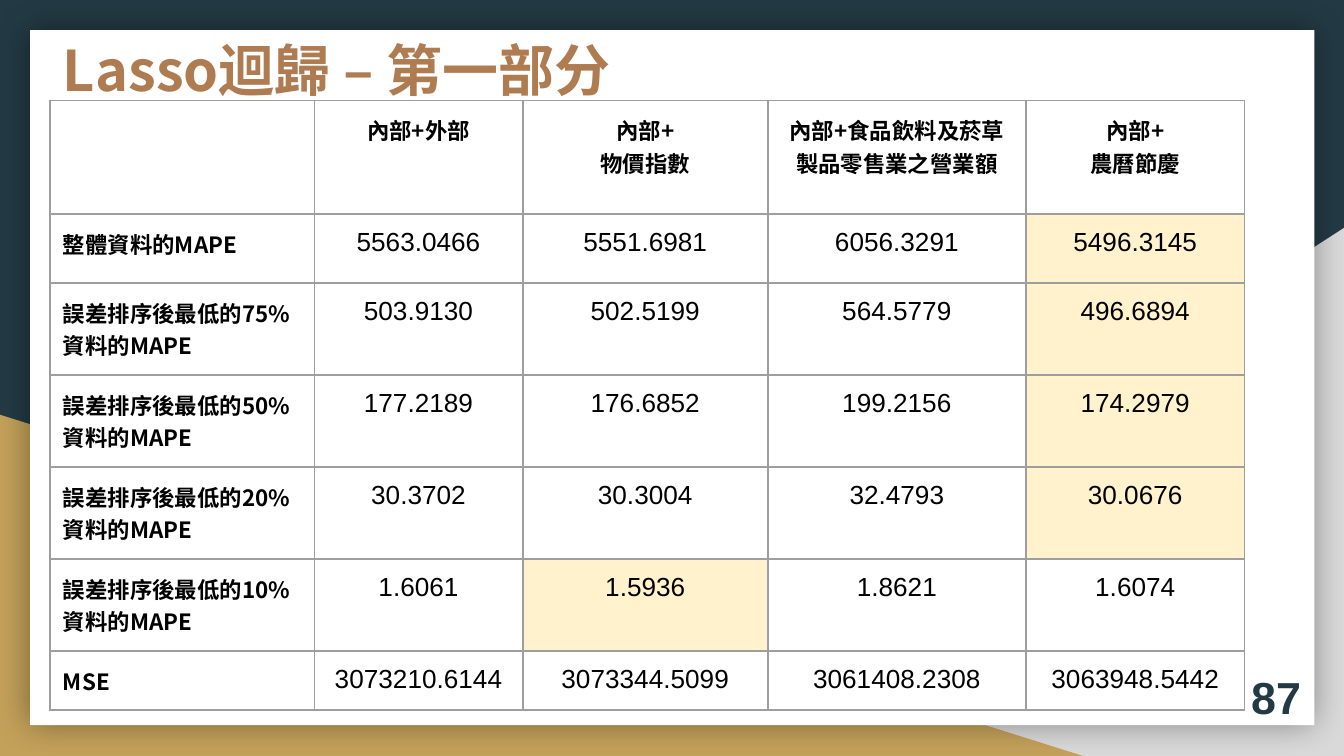
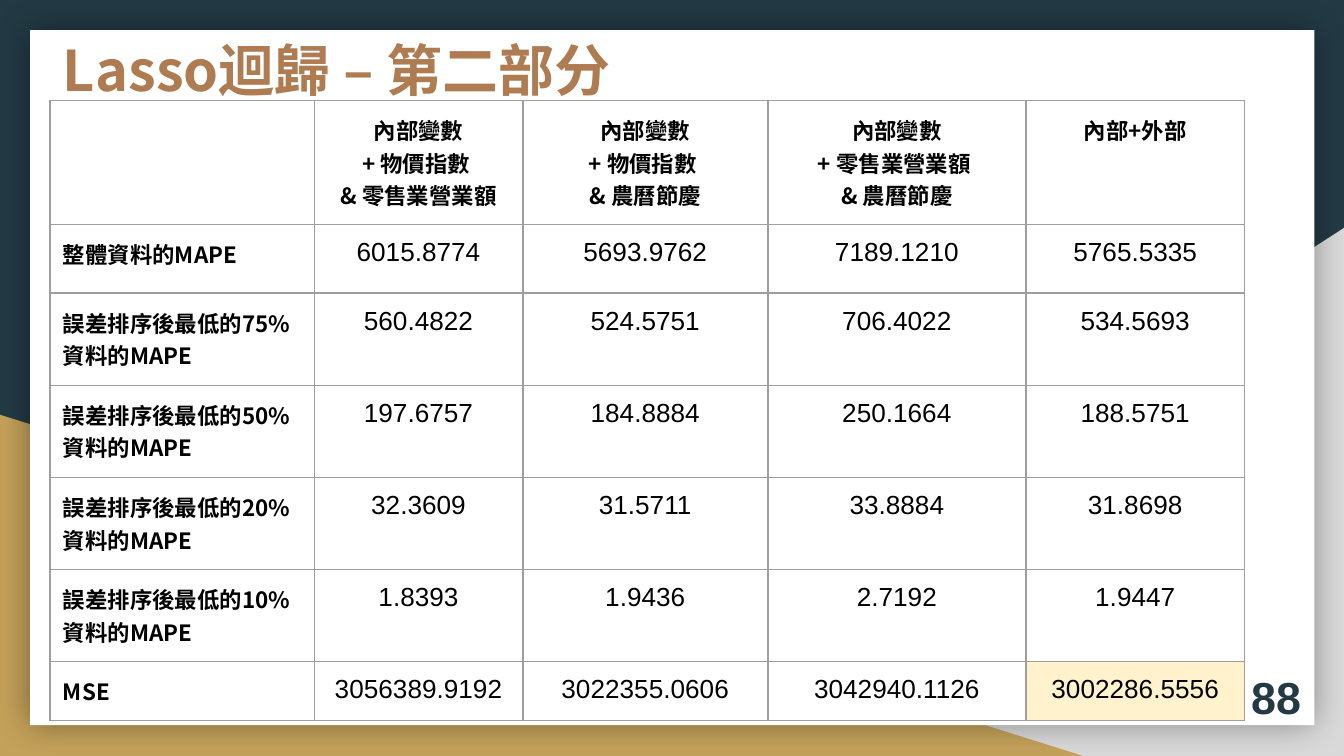
from dataclasses import dataclass
from typing import Optional

import lxml.etree
import pptx
import pptx.dml.color
import pptx.enum.shapes
import pptx.enum.text
import pptx.oxml
import pptx.oxml.ns
import pptx.util
from pptx.util import Cm

RGBColor = pptx.dml.color.RGBColor
Align = pptx.enum.text.PP_ALIGN
Anchor = pptx.enum.text.MSO_ANCHOR
Preset = pptx.enum.shapes.MSO_SHAPE

NAVY = RGBColor(0x23, 0x3A, 0x44)
GREY = RGBColor(0xD9, 0xD9, 0xD9)
GOLD = RGBColor(0xC4, 0xA1, 0x5A)
WHITE = RGBColor(0xFF, 0xFF, 0xFF)
BLACK = RGBColor(0x00, 0x00, 0x00)
BRONZE = RGBColor(0xAF, 0x7B, 0x51)
BEST = RGBColor(0xFF, 0xF2, 0xCC)
BORDER = RGBColor(0x9E, 0x9E, 0x9E)

CJK = "Noto Sans CJK TC"
LATIN = "Arial"
INSET = Cm(0.25)
NARROW_INSET = Cm(0.18)

COLUMN_WIDTHS = [Cm(width) for width in (5, 3.94, 4.63, 4.88, 4.13)]
ROW_HEIGHTS = [Cm(height) for height in (2.15, 1.3, 1.74, 1.74, 1.74, 1.74, 1.04)]
METRICS = (
    ["整體資料的MAPE"]
    + [f"誤差排序後最低的{share}%資料的MAPE" for share in (75, 50, 20, 10)]
    + ["MSE"]
)


@dataclass(frozen=True)
class Box:
    left: float
    top: float
    width: float
    height: float

    def lengths(self) -> tuple[Cm, Cm, Cm, Cm]:
        return Cm(self.left), Cm(self.top), Cm(self.width), Cm(self.height)


@dataclass(frozen=True)
class TextStyle:
    font: str
    size: int
    color: RGBColor
    bold: bool
    align: Align = Align.LEFT


@dataclass(frozen=True)
class BackdropShape:
    preset: Preset
    box: Box
    fill: RGBColor
    flipped: bool = False
    shadowed: bool = False


@dataclass(frozen=True)
class ResultSlide:
    title: str
    page: str
    headings: list[str]
    values: list[list[str]]
    best: set[tuple[int, int]]
    value_fill: Optional[RGBColor]
    last_inset: int


TITLE_BOX = Box(0.94, 0.43, 22.58, 2.08)
TABLE_BOX = Box(0.94, 1.9, 22.58, 11.45)
PAGE_BOX = Box(23.32, 12.62, 1.52, 1.1)

TITLE = TextStyle(CJK, 30, BRONZE, True)
PAGE = TextStyle(LATIN, 24, NAVY, True, Align.RIGHT)
HEADING = TextStyle(CJK, 12, BLACK, True, Align.CENTER)
METRIC = TextStyle(CJK, 12, BLACK, True)
VALUE = TextStyle(LATIN, 14, BLACK, False, Align.CENTER)

BACKDROP = [
    BackdropShape(Preset.RIGHT_TRIANGLE, Box(9.96, 4.31, 15.44, 9.98), GREY, flipped=True),
    BackdropShape(Preset.RIGHT_TRIANGLE, Box(0, 7.84, 20.47, 6.45), GOLD),
    BackdropShape(Preset.RECTANGLE, Box(0.57, 0.57, 24.27, 13.14), WHITE, shadowed=True),
]

SLIDES = [
    ResultSlide(
        "Lasso迴歸 – 第一部分",
        "87",
        ["內部+外部", "內部+\n物價指數", "內部+食品飲料及菸草製品零售業之營業額", "內部+\n農曆節慶"],
        [
            ["5563.0466", "5551.6981", "6056.3291", "5496.3145"],
            ["503.9130", "502.5199", "564.5779", "496.6894"],
            ["177.2189", "176.6852", "199.2156", "174.2979"],
            ["30.3702", "30.3004", "32.4793", "30.0676"],
            ["1.6061", "1.5936", "1.8621", "1.6074"],
            ["3073210.6144", "3073344.5099", "3061408.2308", "3063948.5442"],
        ],
        {(1, 4), (2, 4), (3, 4), (4, 4), (5, 2)},
        None,
        INSET,
    ),
    ResultSlide(
        "Lasso迴歸 – 第二部分",
        "88",
        [
            "內部變數\n+ 物價指數 \n& 零售業營業額",
            "內部變數\n+ 物價指數 \n& 農曆節慶",
            "內部變數\n+ 零售業營業額 \n& 農曆節慶",
            "內部+外部",
        ],
        [
            ["6015.8774", "5693.9762", "7189.1210", "5765.5335"],
            ["560.4822", "524.5751", "706.4022", "534.5693"],
            ["197.6757", "184.8884", "250.1664", "188.5751"],
            ["32.3609", "31.5711", "33.8884", "31.8698"],
            ["1.8393", "1.9436", "2.7192", "1.9447"],
            ["3056389.9192", "3022355.0606", "3042940.1126", "3002286.5556"],
        ],
        {(6, 4)},
        WHITE,
        NARROW_INSET,
    ),
]


def add_child(parent, tag: str, **attributes: str):
    child = lxml.etree.SubElement(parent, pptx.oxml.ns.qn(tag))
    for name, value in attributes.items():
        child.set(name, value)
    return child


def write_text(text_frame, text: str, style: TextStyle) -> None:
    for index, line in enumerate(text.split("\n")):
        paragraph = text_frame.add_paragraph() if index else text_frame.paragraphs[0]
        paragraph.alignment = style.align
        run = paragraph.add_run()
        run.text = line
        font = run.font
        font.name = style.font
        font.size = pptx.util.Pt(style.size)
        font.bold = style.bold
        font.color.rgb = style.color
        add_child(font._element, "a:ea", typeface=style.font)


def set_insets(target, horizontal: int = INSET) -> None:
    target.margin_left = target.margin_right = horizontal
    target.margin_top = target.margin_bottom = INSET


def prepare_text_frame(text_frame, anchor: Anchor) -> None:
    text_frame.word_wrap = True
    text_frame.auto_size = pptx.enum.text.MSO_AUTO_SIZE.NONE
    text_frame.vertical_anchor = anchor
    set_insets(text_frame)


def add_backdrop(layout, slide) -> None:
    layout.background.fill.solid()
    layout.background.fill.fore_color.rgb = NAVY
    for placeholder in list(layout.placeholders):
        if placeholder.placeholder_format.idx:
            placeholder.element.getparent().remove(placeholder.element)
    for item in BACKDROP:
        shape = slide.shapes.add_shape(item.preset, *item.box.lengths())
        shape.fill.solid()
        shape.fill.fore_color.rgb = item.fill
        shape.line.fill.background()
        shape.shadow.inherit = False
        properties = shape.element.spPr
        if item.flipped:
            properties.xfrm.set("flipH", "1")
        if item.shadowed:
            effects = properties.find(pptx.oxml.ns.qn("a:effectLst"))
            blur = str(pptx.util.Pt(18))
            shadow = add_child(effects, "a:outerShdw", blurRad=blur, dist="0", dir="0")
            color = add_child(shadow, "a:srgbClr", val=str(BLACK))
            add_child(color, "a:alpha", val="40000")
        layout.shapes.element.append(shape.element)


def add_title(slide, text: str) -> None:
    title = slide.shapes.title
    title.left, title.top, title.width, title.height = TITLE_BOX.lengths()
    prepare_text_frame(title.text_frame, Anchor.TOP)
    write_text(title.text_frame, text, TITLE)


def add_page_number(slide, text: str) -> None:
    text_frame = slide.shapes.add_textbox(*PAGE_BOX.lengths()).text_frame
    prepare_text_frame(text_frame, Anchor.MIDDLE)
    write_text(text_frame, text, PAGE)


def format_cell(cell, fill: Optional[RGBColor], horizontal_inset: int) -> None:
    set_insets(cell, horizontal_inset)
    properties = cell._tc.get_or_add_tcPr()
    for side in ("a:lnL", "a:lnR", "a:lnT", "a:lnB"):
        line = add_child(properties, side, w=str(pptx.util.Pt(1)))
        add_child(add_child(line, "a:solidFill"), "a:srgbClr", val=str(BORDER))
    if fill is None:
        cell.fill.background()
    else:
        cell.fill.solid()
        cell.fill.fore_color.rgb = fill


def add_results(slide, content: ResultSlide) -> None:
    rows = [["", *content.headings]]
    rows += [[metric, *values] for metric, values in zip(METRICS, content.values)]
    frame = slide.shapes.add_table(len(rows), len(COLUMN_WIDTHS), *TABLE_BOX.lengths())
    table = frame.table
    table.first_row = False
    table.horz_banding = False
    for column, width in zip(table.columns, COLUMN_WIDTHS):
        column.width = width
    for row, height in zip(table.rows, ROW_HEIGHTS):
        row.height = height
    last_column = len(COLUMN_WIDTHS) - 1
    for row_index, texts in enumerate(rows):
        for column_index, text in enumerate(texts):
            cell = table.cell(row_index, column_index)
            is_value = row_index > 0 and column_index > 0
            fill = content.value_fill if is_value else None
            if (row_index, column_index) in content.best:
                fill = BEST
            inset = content.last_inset if column_index == last_column else INSET
            format_cell(cell, fill, inset)
            if text:
                style = VALUE if is_value else METRIC if row_index else HEADING
                write_text(cell.text_frame, text, style)


def main() -> None:
    presentation = pptx.Presentation()
    presentation.slide_width = Cm(25.4)
    presentation.slide_height = Cm(14.29)
    layout = presentation.slide_layouts.get_by_name("Title Only")
    for index, content in enumerate(SLIDES):
        slide = presentation.slides.add_slide(layout)
        if index == 0:
            add_backdrop(layout, slide)
        add_title(slide, content.title)
        add_page_number(slide, content.page)
        add_results(slide, content)
    presentation.save("out.pptx")


if __name__ == "__main__":
    main()
